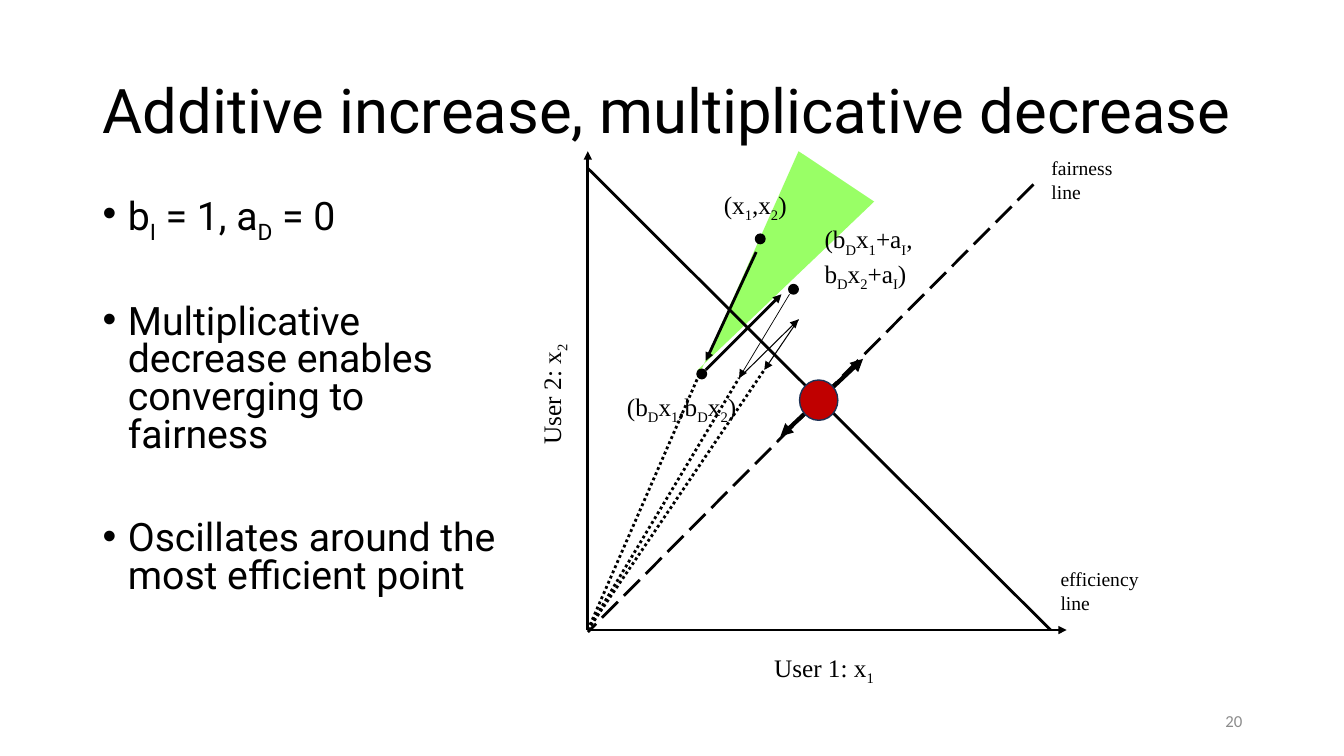
from lxml.etree import SubElement
from pptx import Presentation
from pptx.dml.color import RGBColor
from pptx.enum.dml import MSO_LINE
from pptx.enum.shapes import MSO_CONNECTOR, MSO_SHAPE
from pptx.enum.text import MSO_ANCHOR, MSO_AUTO_SIZE, PP_ALIGN
from pptx.oxml.ns import qn
from pptx.util import Inches, Pt

BLACK = "000000"
ORIGIN = (5.83, 6.25)
DOT_SIZE = 0.08


def color(value):
    return RGBColor.from_string(value)


def add_span(para, text, subscript=False):
    for index, piece in enumerate(text.split("\n")):
        if index:
            para.add_line_break()
        if piece:
            span = para.add_run()
            span.text = piece
            if subscript:
                span._r.get_or_add_rPr().set("baseline", "-25000")


def add_bullet(para):
    properties = para._p.get_or_add_pPr()
    properties.set("marL", str(Inches(0.25)))
    properties.set("indent", str(-Inches(0.25)))
    SubElement(properties, qn("a:buFont"), typeface="Arial")
    SubElement(properties, qn("a:buChar"), char="•")


def add_text(page, paragraphs, left, top, width, height, size=18,
             font="Times New Roman", fill=BLACK, wrap=False, bullet=False,
             anchor=MSO_ANCHOR.TOP, align=PP_ALIGN.LEFT, line_spacing=None,
             gap=0, rotation=0):
    box = page.shapes.add_textbox(Inches(left), Inches(top), Inches(width), Inches(height))
    box.rotation = rotation
    frame = box.text_frame
    frame.word_wrap = wrap
    frame.auto_size = MSO_AUTO_SIZE.NONE if wrap else MSO_AUTO_SIZE.SHAPE_TO_FIT_TEXT
    frame.vertical_anchor = anchor
    for index, text in enumerate(paragraphs):
        para = frame.add_paragraph() if index else frame.paragraphs[0]
        para.alignment = align
        if line_spacing:
            para.line_spacing = line_spacing
        if index and gap:
            para.space_before = Pt(gap)
        if bullet:
            add_bullet(para)
        para.font.size = Pt(size)
        first, *rest = text.split("_")
        add_span(para, first)
        for part in rest:
            add_span(para, part[0], subscript=True)
            add_span(para, part[1:])
        for span in para.runs:
            span.font.size = Pt(size)
            span.font.name = font
            span.font.color.rgb = color(fill)


def add_line(page, start, end, width=2, dash=None, head=False, tail=False):
    line = page.shapes.add_connector(
        MSO_CONNECTOR.STRAIGHT, *(Inches(value) for value in (*start, *end)))
    line.line.color.rgb = color(BLACK)
    line.line.width = Pt(width)
    if dash:
        line.line.dash_style = dash
    outline = line.line._get_or_add_ln()
    for tag, wanted in (("a:headEnd", head), ("a:tailEnd", tail)):
        if wanted:
            SubElement(outline, qn(tag), type="triangle")
    SubElement(line._element.spPr, qn("a:effectLst"))


def add_ellipse(page, left, top, width, height, fill=BLACK, outline=BLACK, line_width=2):
    ellipse = page.shapes.add_shape(
        MSO_SHAPE.OVAL, Inches(left), Inches(top), Inches(width), Inches(height))
    ellipse.shadow.inherit = False
    ellipse.fill.solid()
    ellipse.fill.fore_color.rgb = color(fill)
    ellipse.line.color.rgb = color(outline)
    ellipse.line.width = Pt(line_width)


def add_polygon(page, points, fill):
    first, *rest = [(Inches(x), Inches(y)) for x, y in points]
    builder = page.shapes.build_freeform(*first)
    builder.add_line_segments(rest, close=True)
    polygon = builder.convert_to_shape()
    polygon.shadow.inherit = False
    polygon.fill.solid()
    polygon.fill.fore_color.rgb = color(fill)
    polygon.line.fill.background()


def add_axes(page):
    add_line(page, ORIGIN, (5.83, 1.5), tail=True)
    add_line(page, ORIGIN, (10.58, 6.25), tail=True)
    add_line(page, (10.25, 1.83), (5.83, 6.27), dash=MSO_LINE.LONG_DASH)
    add_line(page, (5.83, 1.67), (10.42, 6.25))
    add_text(page, ["User 1: x_1"], 7.58, 6.42, 1.21, 0.4)
    add_text(page, ["User 2: x_2"], 4.86, 3.7, 1.21, 0.4, rotation=270)
    add_text(page, ["fairness", "line"], 10.33, 1.5, 0.81, 0.57, size=14)
    add_text(page, ["efficiency", "line"], 10.42, 5.58, 0.98, 0.57, size=14)


def add_steps(page):
    for left, top in ((7.83, 2.83), (6.92, 3.67), (7.5, 2.33)):
        add_ellipse(page, left, top, DOT_SIZE, DOT_SIZE)
    for end in ((6.92, 3.75), (7.33, 3.75), (7.58, 3.67)):
        add_line(page, ORIGIN, end, dash=MSO_LINE.ROUND_DOT)
    for start, end, width in (
        ((7.5, 2.5), (7, 3.58), 2),
        ((7, 3.67), (7.75, 2.92), 2),
        ((7.83, 2.92), (7.33, 3.75), 0.5),
        ((7.33, 3.75), (7.92, 3.17), 0.75),
        ((7.92, 3.17), (7.58, 3.67), 0.75),
    ):
        add_line(page, start, end, width, tail=True)
    add_text(page, ["(x_1,x_2)"], 7.08, 1.83, 0.85, 0.4)
    add_text(page, ["(b_Dx_1,b_Dx_2)"], 6.12, 3.83, 1.35, 0.4)
    add_text(page, ["(b_Dx_1+a_I,\nb_Dx_2+a_I)"], 8.08, 2.17, 1.14, 0.7)


def main():
    deck = Presentation()
    deck.slide_width = Inches(13.33)
    deck.slide_height = Inches(7.5)
    page = deck.slides.add_slide(deck.slide_layouts[6])

    add_polygon(page, [(6.92, 3.67), (8.67, 2), (7.92, 1.5), (6.92, 3.75)], "99FF66")
    add_axes(page)
    add_steps(page)
    add_line(page, (7.74, 4.33), (8.56, 3.56), 3, head=True, tail=True)
    add_ellipse(page, 7.93, 3.77, 0.38, 0.4, fill="C00000", outline="1E3256", line_width=1)

    add_text(page, ["Additive increase, multiplicative decrease"], 0.92, 0.4, 11.5, 1.45,
             size=44, font="Roboto", wrap=True, anchor=MSO_ANCHOR.MIDDLE, line_spacing=0.9)
    add_text(page, ["b_I = 1, a_D = 0",
                    "Multiplicative decrease enables converging to fairness",
                    "Oscillates around the most efficient point"],
             0.92, 1.9, 4.1, 4.67, size=28, font="Roboto", wrap=True, bullet=True,
             line_spacing=0.8, gap=47)
    add_text(page, ["20"], 9.42, 6.95, 3, 0.4, size=12, font="Calibri", fill="8C8C8C",
             wrap=True, anchor=MSO_ANCHOR.MIDDLE, align=PP_ALIGN.RIGHT)
    deck.save("out.pptx")


if __name__ == "__main__":
    main()
